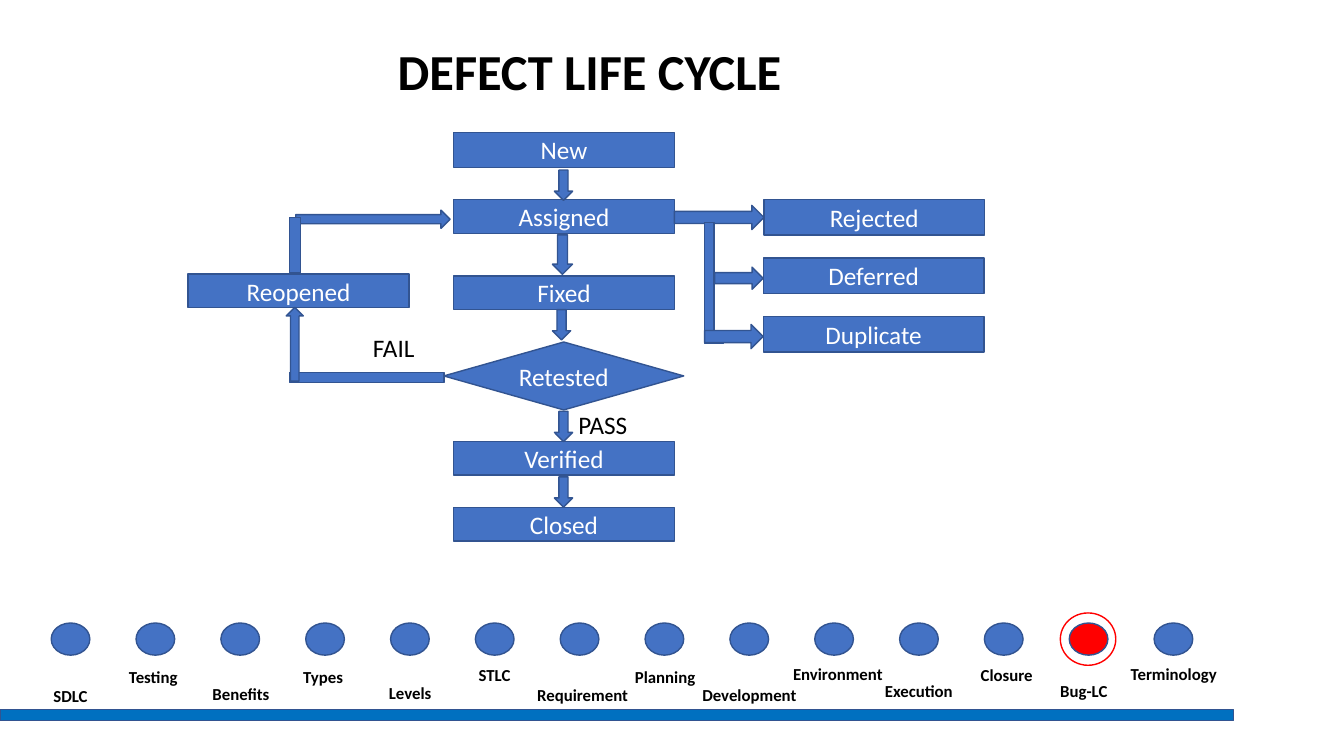
from pptx import Presentation
from pptx.dml.color import RGBColor
from pptx.enum.shapes import MSO_SHAPE
from pptx.enum.text import MSO_ANCHOR, MSO_AUTO_SIZE, PP_ALIGN
from pptx.util import Pt

RECTANGLE = MSO_SHAPE.RECTANGLE
PROCESS = MSO_SHAPE.FLOWCHART_PROCESS
DECISION = MSO_SHAPE.FLOWCHART_DECISION
OVAL = MSO_SHAPE.OVAL
DOWN = MSO_SHAPE.DOWN_ARROW
UP = MSO_SHAPE.UP_ARROW
RIGHT = MSO_SHAPE.RIGHT_ARROW
LEFT_ALIGN = PP_ALIGN.LEFT
CENTER = PP_ALIGN.CENTER
MIDDLE = MSO_ANCHOR.MIDDLE
BOTTOM = MSO_ANCHOR.BOTTOM
FIT_SHAPE = MSO_AUTO_SIZE.SHAPE_TO_FIT_TEXT
CORNER = "corner"
BLUE, OUTLINE, RED = "4472C4", "325491", "FF0000"
color = RGBColor.from_string

deck = Presentation()
deck.slide_width, deck.slide_height = Pt(960), Pt(540)
page = deck.slides.add_slide(deck.slide_layouts[6])


def add_block(kind, left, top, width, height, fill=BLUE, outline=OUTLINE):
    if kind == CORNER:
        arm, right, bottom = width / 2, left + width, top + height
        points = [(left + arm, top), (left + arm, bottom - arm),
                  (right, bottom - arm), (right, bottom), (left, bottom)]
        builder = page.shapes.build_freeform(Pt(left), Pt(top))
        builder.add_line_segments([(Pt(x), Pt(y)) for x, y in points])
        block = builder.convert_to_shape()
    else:
        block = page.shapes.add_shape(kind, Pt(left), Pt(top), Pt(width), Pt(height))
    block.shadow.inherit = False
    if fill:
        block.fill.solid()
        block.fill.fore_color.rgb = color(fill)
    else:
        block.fill.background()
    block.line.color.rgb = color(outline)
    block.line.width = Pt(1)
    return block


def write(box, text, size, ink="000000", bold=False, align=LEFT_ALIGN):
    para = box.text_frame.paragraphs[0]
    para.alignment = align
    span = para.add_run()
    span.text = text
    span.font.name = "Calibri"
    span.font.size = Pt(size)
    span.font.bold = bold
    span.font.color.rgb = color(ink)
    return para


add_block(RECTANGLE, 0, 506.9, 881.3, 7.9, fill="0070C0")

title = page.shapes.add_textbox(Pt(179.3), Pt(26.6), Pt(483.8), Pt(49.7))
title.text_frame.word_wrap = True
title.text_frame.vertical_anchor = BOTTOM
write(title, "DEFECT LIFE CYCLE", 36, bold=True, align=CENTER).line_spacing = 0.9

states = [
    ("New", PROCESS, 324, 94.5, 157.7, 25),
    ("Assigned", PROCESS, 324, 142.6, 157.7, 24),
    ("Fixed", PROCESS, 324, 197.2, 157.7, 24),
    ("Verified", PROCESS, 324, 315.4, 157.7, 24),
    ("Closed", PROCESS, 324, 362.4, 157.7, 24),
    ("Retested", DECISION, 317, 244.3, 171.4, 48.5),
    ("Rejected", PROCESS, 545.6, 142.6, 157.7, 25.4),
    ("Deferred", PROCESS, 545.2, 184.3, 157.7, 25.4),
    ("Duplicate", PROCESS, 545.2, 226.1, 157.7, 25.4),
    ("Reopened", PROCESS, 134.4, 195.8, 157.7, 24),
]
for name, kind, *place in states:
    state = add_block(kind, *place)
    state.text_frame.word_wrap = True
    state.text_frame.vertical_anchor = MIDDLE
    write(state, name, 18, "FFFFFF", align=CENTER)

flow = [
    (DOWN, 396, 121.5, 13, 21.6),
    (DOWN, 394.6, 167.8, 14.4, 28.1),
    (DOWN, 394.6, 221.2, 13, 21.6),
    (DOWN, 396, 293.8, 13, 21.6),
    (DOWN, 396, 340.6, 13, 21.6),
    (RIGHT, 481.7, 146.7, 64, 17.3),
    (CORNER, 503.3, 159.1, 13.7, 86.4),
    (RIGHT, 510.5, 190.8, 34.6, 15.8),
    (RIGHT, 503.3, 231.8, 41.8, 17.3),
    (RECTANGLE, 207, 266, 110.2, 7.4),
    (UP, 204.5, 219.6, 12.2, 52.6),
    (RIGHT, 211.3, 150.1, 110.2, 13),
    (RECTANGLE, 206.6, 155.5, 7.9, 39.6),
]
for step in flow:
    add_block(*step)

stage_left, stage_pitch = 36.6, 60.6
stages = [
    ("SDLC", 31, 486, 39.6),
    ("Testing", 85, 473, 49.7),
    ("Benefits", 144.7, 484.9, 55.4),
    ("Types", 209.5, 473, 43.2),
    ("Levels", 270.7, 484.1, 45.4),
    ("STLC", 334.8, 471.6, 37.4),
    ("Requirement", 376.6, 485.3, 79.9),
    ("Planning", 446.4, 472.6, 58.3),
    ("Development", 494.6, 485.3, 82.8),
    ("Environment", 559.4, 470.9, 79.2),
    ("Execution", 625, 482.8, 64.1),
    ("Closure", 693.4, 471.6, 51.8),
    ("Bug-LC", 750.2, 482.8, 49),
    ("Terminology", 800.6, 470.5, 77),
]
labels = [("PASS", 406.1, 288.7, 103.7, 28.8, 18, False),
          ("FAIL", 259.2, 234, 44.6, 28.8, 18, False)]
for number, (name, left, top, width) in enumerate(stages):
    current = name == "Bug-LC"
    add_block(OVAL, stage_left + number * stage_pitch, 445, 27.6, 23,
              fill=RED if current else BLUE)
    labels.append((name, left, top, width, 21.6, 12, True))

for text, left, top, width, height, size, bold in labels:
    label = page.shapes.add_textbox(Pt(left), Pt(top), Pt(width), Pt(height))
    label.text_frame.word_wrap = text == "PASS"
    label.text_frame.auto_size = FIT_SHAPE
    write(label, text, size, bold=bold)

add_block(OVAL, 757.4, 437.8, 39.6, 37.4, fill=None, outline=RED)

deck.save("out.pptx")
